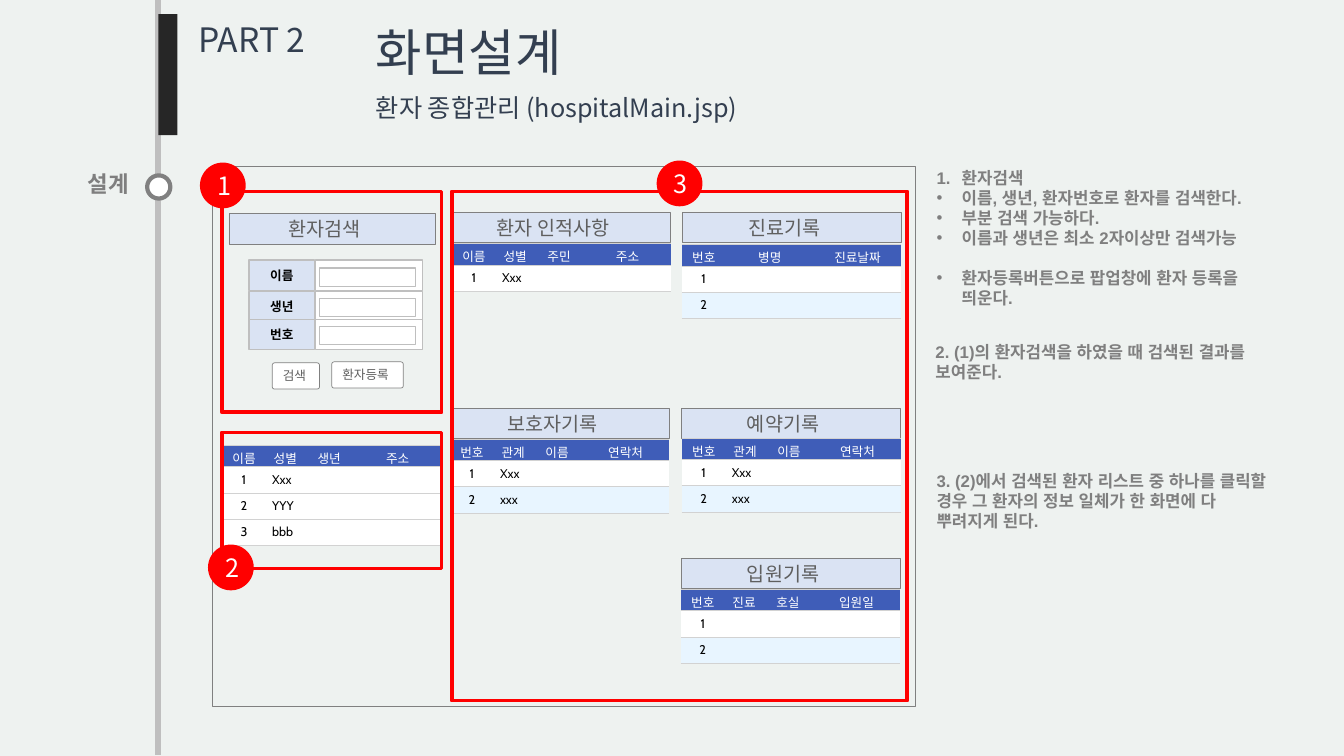
from lxml import etree
from pptx import Presentation
from pptx.dml.color import RGBColor
from pptx.enum.shapes import MSO_CONNECTOR, MSO_SHAPE
from pptx.enum.text import MSO_ANCHOR, MSO_AUTO_SIZE, PP_ALIGN
from pptx.oxml.ns import qn
from pptx.util import Inches, Pt

RECT, OVAL, ROUNDED = MSO_SHAPE.RECTANGLE, MSO_SHAPE.OVAL, MSO_SHAPE.ROUNDED_RECTANGLE
STRAIGHT = MSO_CONNECTOR.STRAIGHT
MIDDLE = MSO_ANCHOR.MIDDLE
GROW = MSO_AUTO_SIZE.SHAPE_TO_FIT_TEXT
LEFT, CENTER = PP_ALIGN.LEFT, PP_ALIGN.CENTER

PAPER = RGBColor(0xEE, 0xF2, 0xF0)
WHITE = RGBColor(0xFF, 0xFF, 0xFF)
BLACK = RGBColor(0, 0, 0)
CHARCOAL = RGBColor(0x26, 0x26, 0x26)
NAVY = RGBColor(0x33, 0x3F, 0x50)
GRAY = RGBColor(0x7F, 0x7F, 0x7F)
OUTLINE = RGBColor(0x80, 0x80, 0x80)
SILVER = RGBColor(0xBF, 0xBF, 0xBF)
RULE = RGBColor(0xD2, 0xD2, 0xD2)
INK = RGBColor(0x5F, 0x5F, 0x5F)
PALE_BLUE = RGBColor(0xDA, 0xE3, 0xF3)
HEADER_BLUE = RGBColor(0x3F, 0x5D, 0xB8)
BAND = RGBColor(0xE8, 0xF5, 0xFF)
RED = RGBColor(0xFF, 0, 0)

KOREAN, BODY, LABEL, CELL = "Noto Sans CJK KR", "Arial", "Karla", "Cabin"


class ScreenPage:
    """Holds the current slide and draws each kind of element on it."""

    def __init__(self, page):
        self.page = page
        page.background.fill.solid()
        page.background.fill.fore_color.rgb = PAPER

    def add_span(self, para, text, size, font, color, bold=False, align=LEFT):
        para.alignment = align
        span = para.add_run()
        span.text = text
        span.font.size = Pt(size)
        span.font.name = font
        span.font.bold = bold
        span.font.color.rgb = color
        east_asian = etree.SubElement(span.font._element, qn("a:ea"))
        east_asian.set("typeface", font)

    def line(self, x, top, bottom, color, width):
        rail = self.page.shapes.add_connector(
            STRAIGHT, Inches(x), Inches(top), Inches(x), Inches(bottom))
        rail.line.color.rgb = color
        rail.line.width = Pt(width)
        etree.SubElement(rail._element.spPr, qn("a:effectLst"))

    def text(self, at, text, size, font, color, bold=False, align=LEFT, wrap=True):
        box = self.page.shapes.add_textbox(*map(Inches, at))
        frame = box.text_frame
        frame.word_wrap = wrap
        frame.auto_size = GROW
        self.add_span(frame.paragraphs[0], text, size, font, color, bold, align)
        return frame

    def bullet(self, para, tag, attribute, value):
        """Give the paragraph a hanging bullet or number."""
        props = para._p.get_or_add_pPr()
        props.set("marL", str(Inches(0.25)))
        props.set("indent", str(-Inches(0.25)))
        font = etree.SubElement(props, qn("a:buFont"))
        font.set("typeface", BODY)
        etree.SubElement(props, qn(tag)).set(attribute, value)

    def shape(self, kind, at, fill=None, line=None, width=1.0):
        shape = self.page.shapes.add_shape(kind, *map(Inches, at))
        shape.shadow.inherit = False
        if fill is None:
            shape.fill.background()
        else:
            shape.fill.solid()
            shape.fill.fore_color.rgb = fill
        if line is None:
            shape.line.fill.background()
        else:
            shape.line.color.rgb = line
            shape.line.width = Pt(width)
        return shape

    def caption(self, shape, text, size, font, color, bold=False, align=CENTER):
        frame = shape.text_frame
        frame.vertical_anchor = MIDDLE
        self.add_span(frame.paragraphs[0], text, size, font, color, bold, align)
        return frame

    def heading(self, left, top, width, text):
        bar = self.shape(RECT, (left, top, width, 0.3), PALE_BLUE, OUTLINE, 0.5)
        frame = self.caption(bar, text, 14, LABEL, INK)
        frame.margin_right = Inches(0.25)

    def field(self, top, box_top, label):
        name = self.shape(RECT, (2.47, top, 0.65, 0.3), PALE_BLUE, SILVER)
        self.caption(name, label, 9, KOREAN, BLACK, bold=True)
        self.shape(RECT, (3.13, top, 1.06, 0.3), WHITE, SILVER)
        self.shape(RECT, (3.17, box_top, 0.95, 0.18), WHITE, SILVER)

    def button(self, left, top, width, text):
        button = self.shape(ROUNDED, (left, top, width, 0.26), WHITE, OUTLINE, 0.5)
        button.adjustments[0] = 0.09
        frame = self.caption(button, text, 9, LABEL, INK, align=LEFT)
        frame.word_wrap = False
        frame.auto_size = GROW

    def badge(self, left, top, number):
        badge = self.shape(OVAL, (left, top, 0.44, 0.44), RED, RED)
        self.caption(badge, number, 18, KOREAN, WHITE)

    def cell_rules(self, cell):
        """Draw only the top and bottom borders."""
        props = cell._tc.get_or_add_tcPr()
        for index, side in enumerate(("L", "R", "T", "B")):
            border = etree.Element(qn("a:ln" + side))
            if side in "LR":
                etree.SubElement(border, qn("a:noFill"))
            else:
                border.set("w", str(Pt(0.75)))
                solid = etree.SubElement(border, qn("a:solidFill"))
                etree.SubElement(solid, qn("a:srgbClr")).set("val", str(RULE))
            props.insert(index, border)

    def table(self, left, top, header, values, band=BAND, merged=False):
        """Number the rows; values fill the second column."""
        rows = [header] + [(str(n), value, "", "") for n, value in enumerate(values, 1)]
        height = 0.21 + 0.26 * len(values)
        frame = self.page.shapes.add_table(
            len(rows), 4, Inches(left), Inches(top), Inches(2.18), Inches(height))
        grid = frame.table
        grid.first_row = grid.horz_banding = False
        for column, width in zip(grid.columns, (0.44, 0.38, 0.49, 0.87)):
            column.width = Inches(width)
        for r, row in enumerate(rows):
            grid.rows[r].height = Inches(0.26 if r else 0.21)
            fill = HEADER_BLUE if r == 0 else band if r == 2 else WHITE
            font, color = (CELL, BLACK) if r else (KOREAN, WHITE)
            for c, text in enumerate(row):
                cell = grid.cell(r, c)
                cell.fill.solid()
                cell.fill.fore_color.rgb = fill
                cell.vertical_anchor = MIDDLE
                cell.margin_left = cell.margin_right = Inches(0.06)
                cell.margin_top = cell.margin_bottom = Inches(0.03)
                self.cell_rules(cell)
                para = cell.text_frame.paragraphs[0]
                if text:
                    align = LEFT if r and c else CENTER
                    self.add_span(para, text, 9, font, color, align=align)
                else:
                    etree.SubElement(para._p, qn("a:endParaRPr")).set("sz", "900")
        if merged:
            grid.cell(0, 1).merge(grid.cell(0, 2))


def main():
    deck = Presentation()
    deck.slide_width, deck.slide_height = Inches(13.33), Inches(7.5)
    screen = ScreenPage(deck.slides.add_slide(deck.slide_layouts[6]))

    screen.line(1.57, 0, 7.49, SILVER, 4.5)
    screen.text((0.75, 1.64, 0.65, 0.37), "설계", 16, KOREAN, GRAY, True, CENTER, False)
    screen.shape(RECT, (1.57, 0.14, 0.19, 1.2), CHARCOAL)
    screen.text((1.87, 0.14, 1.27, 0.5), "PART 2", 24, KOREAN, NAVY, wrap=False)
    screen.text((3.63, 0.16, 2.22, 0.71), "화면설계", 36, KOREAN, NAVY, wrap=False)
    screen.text((3.63, 0.87, 4.31, 0.4), "환자 종합관리 (hospitalMain.jsp)", 18, KOREAN, NAVY)
    screen.shape(OVAL, (1.46, 1.74, 0.23, 0.23), WHITE, OUTLINE, 3)

    notes = screen.text((9.19, 1.61, 3.49, 1.51), "환자검색", 12, BODY, GRAY, True)
    screen.bullet(notes.paragraphs[0], "a:buAutoNum", "type", "arabicPeriod")
    for text in ("이름, 생년, 환자번호로 환자를 검색한다.", "부분 검색 가능하다.",
                 "이름과 생년은 최소 2자이상만 검색가능",
                 "환자등록버튼으로 팝업창에 환자 등록을 띄운다."):
        para = notes.add_paragraph()
        screen.add_span(para, text, 12, BODY, GRAY, True)
        screen.bullet(para, "a:buChar", "char", "•")
    para.space_before = Pt(14.4)
    screen.text((9.18, 3.34, 3.52, 0.71),
                "2. (1)의 환자검색을 하였을 때 검색된 결과를 보여준다.", 12, BODY, GRAY, True)
    screen.text((9.19, 4.62, 3.49, 0.71),
                "3. (2)에서 검색된 환자 리스트 중 하나를 클릭할 경우 "
                "그 환자의 정보 일체가 한 화면에 다 뿌려지게 된다.", 12, BODY, GRAY, True)

    screen.shape(RECT, (2.11, 1.65, 6.97, 5.36), None, OUTLINE, 0.5)
    for heading in ((2.27, 2.12, 2.05, "환자검색"), (4.48, 2.11, 2.17, "환자 인적사항"),
                    (6.77, 2.11, 2.17, "진료기록"), (6.76, 4.05, 2.17, "예약기록"),
                    (6.76, 5.54, 2.17, "입원기록"), (4.47, 4.05, 2.17, "보호자기록")):
        screen.heading(*heading)
    for field in ((2.58, 2.66, "이름"), (2.89, 2.96, "생년"), (3.17, 3.24, "번호")):
        screen.field(*field)

    contacts = ("번호", "관계", "이름", "연락처")
    screen.table(4.46, 4.36, contacts, ("Xxx", "xxx"))
    screen.table(6.76, 4.35, contacts, ("Xxx", "xxx"))
    screen.table(4.48, 2.42, ("이름", "성별", "주민", "주소"), ("Xxx",))
    screen.table(6.76, 2.43, ("번호", "병명", "", "진료날짜"), ("", ""), merged=True)
    screen.table(2.2, 4.42, ("이름", "성별", "생년", "주소"), ("Xxx", "YYY", "bbb"), band=WHITE)
    screen.table(6.75, 5.85, ("번호", "진료", "호실", "입원일"), ("", ""))

    for area in ((2.2, 1.9, 2.18, 2.19), (4.48, 1.9, 4.52, 5.05), (2.2, 4.29, 2.18, 1.35)):
        screen.shape(RECT, area, None, RED, 2.75)
    for badge in ((1.99, 1.62, "1"), (2.07, 5.41, "2"), (6.52, 1.6, "3")):
        screen.badge(*badge)
    screen.button(2.7, 3.6, 0.47, "검색")
    screen.button(3.29, 3.59, 0.71, "환자등록")
    deck.save("out.pptx")


if __name__ == "__main__":
    main()
